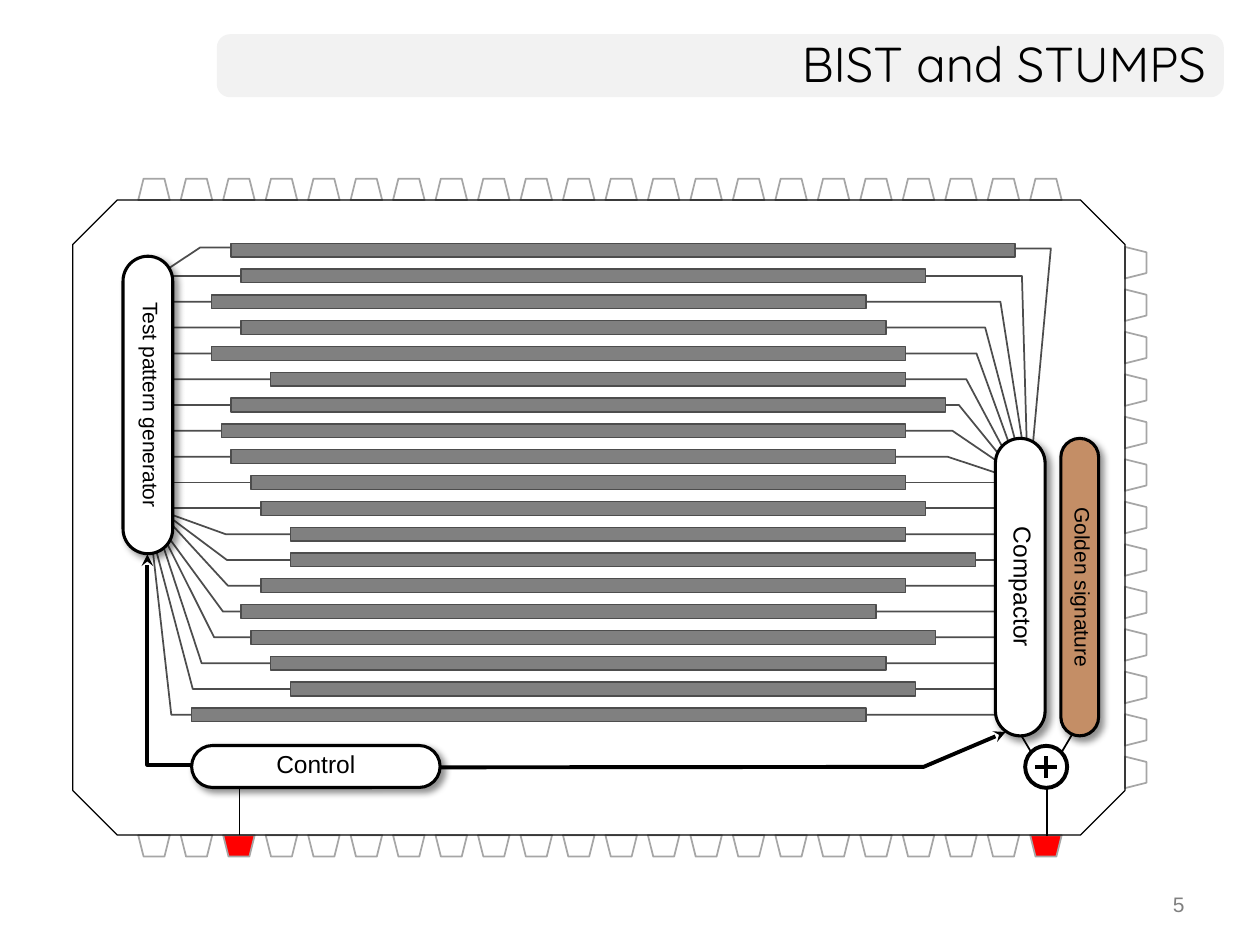
import pptx
import pptx.util
import pptx.oxml
import pptx.dml.color
import pptx.enum.shapes
import pptx.enum.text

Pt = pptx.util.Pt
RGB = pptx.dml.color.RGBColor
Kind = pptx.enum.shapes.MSO_SHAPE
Align = pptx.enum.text.PP_ALIGN

BLACK = RGB(0, 0, 0)
WHITE = RGB(255, 255, 255)
PALE = RGB(0xF2, 0xF2, 0xF2)
SILVER = RGB(0xA6, 0xA6, 0xA6)
GREY = RGB(0x80, 0x80, 0x80)
DARK = RGB(0x4D, 0x4D, 0x4D)
RED = RGB(255, 0, 0)
BROWN = RGB(0xC4, 0x8E, 0x66)

SPACE = 'xmlns:a="http://schemas.openxmlformats.org/drawingml/2006/main"'
SHADOW = (f'<a:effectLst {SPACE}><a:outerShdw blurRad="{Pt(4)}" dist="{Pt(3)}" '
          'dir="2700000" algn="tl" rotWithShape="0"><a:srgbClr val="000000">'
          '<a:alpha val="43000"/></a:srgbClr></a:outerShdw></a:effectLst>')

# Scan chains, top to bottom: (start, length) in grid steps
CHAINS = [(4, 79), (5, 69), (2, 66), (5, 65), (2, 70), (8, 64), (4, 72),
          (3, 69), (4, 67), (6, 66), (7, 67), (10, 62), (10, 69), (7, 65),
          (5, 64), (6, 69), (8, 62), (10, 63), (0, 68)]
STEP = 5.67
LEFT, TOP, PITCH, THICK = 109.4, 139, 14.75, 7.92

# Wires from row 1 down: start x, bend x, end point at the compactor
UPPER = [(93, 584, 586.8, 255.6), (98.6, 571.7, 584.6, 254.9),
         (98.6, 563, 581, 254.9), (98.6, 558, 577.4, 255.6),
         (98, 552.2, 576, 261.4), (98.6, 548, 574.6, 264.2),
         (93, 544.3, 580.3, 270.7), (93, 541.4, 577.4, 272.9)]
# Wires from row 11 down: start point at the generator, bend x, end x
LOWER = [(97.2, 293.8, 128.9, 576), (99.4, 297.4, 129.6, 573.1),
         (98.6, 300.2, 130.3, 578.9), (95, 305.3, 127.4, 588.2),
         (94.3, 308.2, 122.4, 576.7), (92.2, 308.9, 115.2, 578.2),
         (89.3, 314.6, 110.2, 576), (87.1, 312.5, 97.9, 583.9)]
PAD_STEP = 24.27


def assign(item, values):
    for name, value in values.items():
        setattr(item, name, value)


class Sketch:
    font = {"name": "Arial", "size": Pt(12)}
    frame = {"word_wrap": True,
             "vertical_anchor": pptx.enum.text.MSO_ANCHOR.MIDDLE}
    inset = {"margin_left": Pt(7.2), "margin_top": Pt(3.6),
             "margin_right": Pt(7.2), "margin_bottom": Pt(7.2)}

    def __init__(self, slide):
        self.slide = slide
        self.shapes = slide.shapes

    def stroke(self, item, color, width):
        item.line.color.rgb = color
        item.line.width = Pt(width)

    def letter(self, item, text, align, color=BLACK, **font):
        """Put one styled line of text into a shape."""
        assign(item.text_frame, self.frame)
        para = item.text_frame.paragraphs[0]
        para.alignment = align
        run = para.add_run()
        run.text = text
        run.font.color.rgb = color
        assign(run.font, {**self.font, **font})

    def label(self, box, text, **look):
        item = self.shapes.add_textbox(*map(Pt, box))
        self.letter(item, text, Align.RIGHT, **look)

    def shape(self, kind, box, fill=None, line=None, width=1, adj=None, turn=0):
        item = self.shapes.add_shape(kind, *map(Pt, box))
        item.shadow.inherit = False
        item.rotation = turn
        if adj is not None:
            item.adjustments[0] = adj
        if fill is None:
            item.fill.background()
        else:
            item.fill.solid()
            item.fill.fore_color.rgb = fill
        if line is None:
            item.line.fill.background()
        else:
            self.stroke(item, line, width)
        return item

    def pill(self, box, text, size, fill=WHITE, turn=0):
        """Draw a shadowed block with round ends and a label."""
        item = self.shape(Kind.ROUNDED_RECTANGLE, box, fill, BLACK, 1.75, 0.5, turn)
        props = item._element.spPr
        props.remove(props.find(pptx.oxml.ns.qn("a:effectLst")))
        props.append(pptx.oxml.parse_xml(SHADOW))
        assign(item.text_frame, self.inset)
        self.letter(item, text, Align.CENTER, size=Pt(size))

    def line(self, ends, color=BLACK, width=1):
        item = self.shapes.add_connector(
            pptx.enum.shapes.MSO_CONNECTOR.STRAIGHT, *map(Pt, ends))
        self.stroke(item, color, width)
        item._element.spPr.append(pptx.oxml.parse_xml(f"<a:effectLst {SPACE}/>"))

    def route(self, points, color=DARK, width=1, arrow=False):
        """Draw an open bent line through the points."""
        first, *rest = [(Pt(x), Pt(y)) for x, y in points]
        build = self.shapes.build_freeform(*first, scale=1.0)
        build.add_line_segments(rest, close=False)
        item = build.convert_to_shape()
        item.shadow.inherit = False
        item.fill.background()
        self.stroke(item, color, width)
        if arrow:
            item.line._get_or_add_ln().append(
                pptx.oxml.parse_xml(f'<a:tailEnd {SPACE} type="stealth"/>'))

    def pad(self, x, y, turn, fill=WHITE):
        self.shape(Kind.TRAPEZOID, (x, y, 18, 12.2), fill, SILVER, turn=turn)


def middle(row):
    return TOP + row * PITCH + THICK / 2


def draw_chip(sketch):
    for i in range(13):
        sketch.pad(640, 144 + i * PAD_STEP, 90)
    for i in range(22):
        x = 79 + i * PAD_STEP
        sketch.pad(x, 477.3, 180, RED if i in (2, 21) else WHITE)
        sketch.pad(x, 102.1, 0)
    sketch.shape(Kind.OCTAGON, (41.6, 114.3, 601.2, 362.9), None, BLACK, 0.75, 0.07)


def draw_chains(sketch):
    sketch.route([(94.3, 154.8), (114.5, 141.4), (600.5, 142), (589.7, 259.9)])
    for row, (start, bend, x, y) in enumerate(UPPER, 1):
        sketch.route([(start, middle(row)), (bend, middle(row)), (x, y)])
    for row in (9, 10):
        sketch.line((98.6, middle(row), 580, middle(row)), DARK)
    for row, (x, y, bend, end) in enumerate(LOWER, 11):
        sketch.route([(x, y), (bend, middle(row)), (end, middle(row))])
    for row, (start, length) in enumerate(CHAINS):
        box = (LEFT + start * STEP, TOP + row * PITCH, length * STEP, THICK)
        sketch.shape(Kind.RECTANGLE, box, GREY, DARK, 0.75)


def draw_blocks(sketch):
    sketch.route([(208, 438.5), (527.8, 438.2), (574.6, 418.3)], BLACK, 2.25, True)
    sketch.route([(167.8, 437), (84.2, 437), (84.2, 316.8)], BLACK, 2.25, True)
    sketch.pill((-0.5, 217.2, 170, 28.4), "Test pattern generator", 12, turn=90)
    sketch.shape(Kind.OVAL, (585.8, 426.2, 24, 24), None, BLACK, 2.25)
    sketch.line((597.8, 432, 597.8, 444.4), width=2.25)
    sketch.line((591.7, 438.2, 604, 438.2), width=2.25)
    sketch.line((580.3, 414.7, 589.7, 430.6))
    sketch.pill((498, 321.3, 170, 28.4), "Compactor", 14, turn=90)
    sketch.line((615.6, 414.7, 606.2, 430.6))
    sketch.pill((532, 324.7, 170, 21.6), "Golden signature", 12, BROWN, 90)
    sketch.line((598.3, 449.5, 598.3, 478))
    sketch.line((136.8, 449.5, 136.8, 477.4))
    sketch.pill((109.5, 426, 142, 24), "Control", 14)


def main():
    deck = pptx.Presentation()
    assign(deck, {"slide_width": Pt(720), "slide_height": Pt(540)})
    sketch = Sketch(deck.slides.add_slide(deck.slide_layouts[6]))
    sketch.shape(Kind.ROUNDED_RECTANGLE, (123.9, 19.6, 575.4, 36), PALE, adj=0.21)
    sketch.label((516, 504, 168, 25), "5", color=GREY)
    draw_chip(sketch)
    sketch.label((295, 13, 401.2, 45.4), "BIST and STUMPS", name="Quicksand", size=Pt(28))
    draw_chains(sketch)
    draw_blocks(sketch)
    deck.save("out.pptx")


if __name__ == "__main__":
    main()
